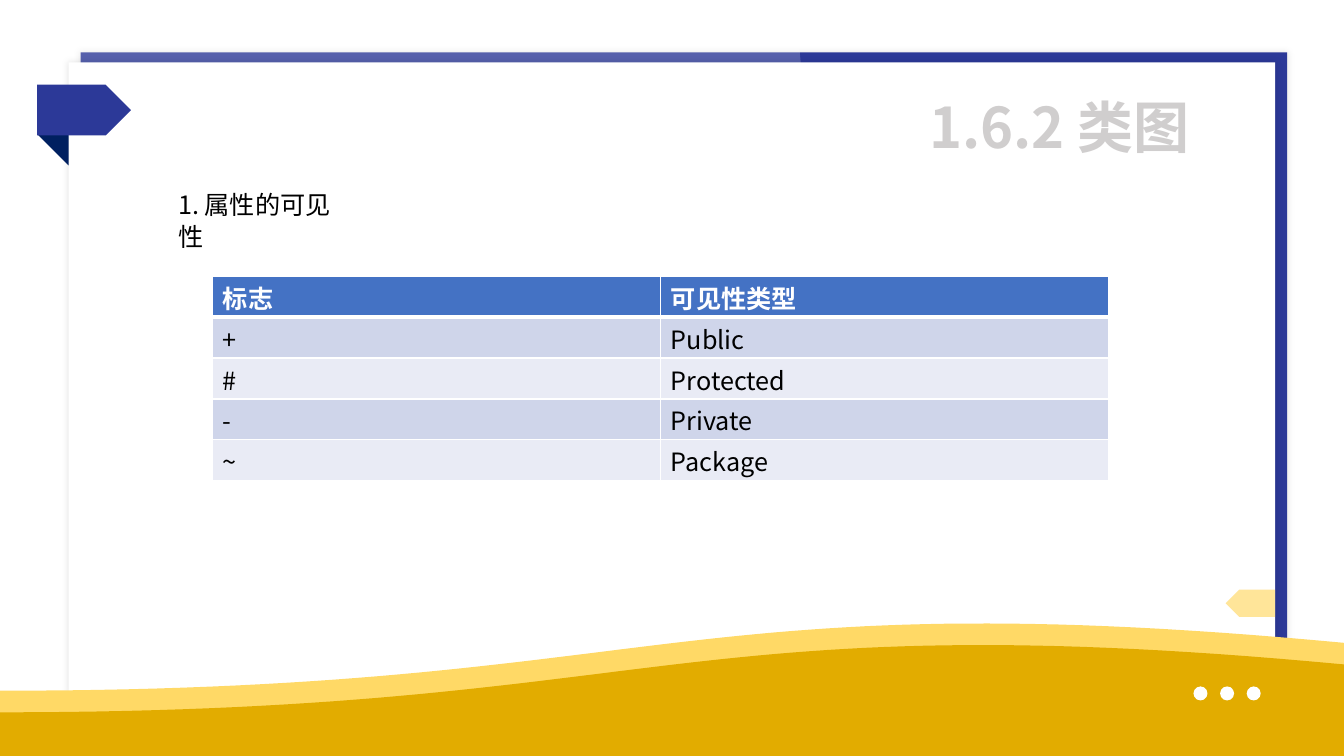
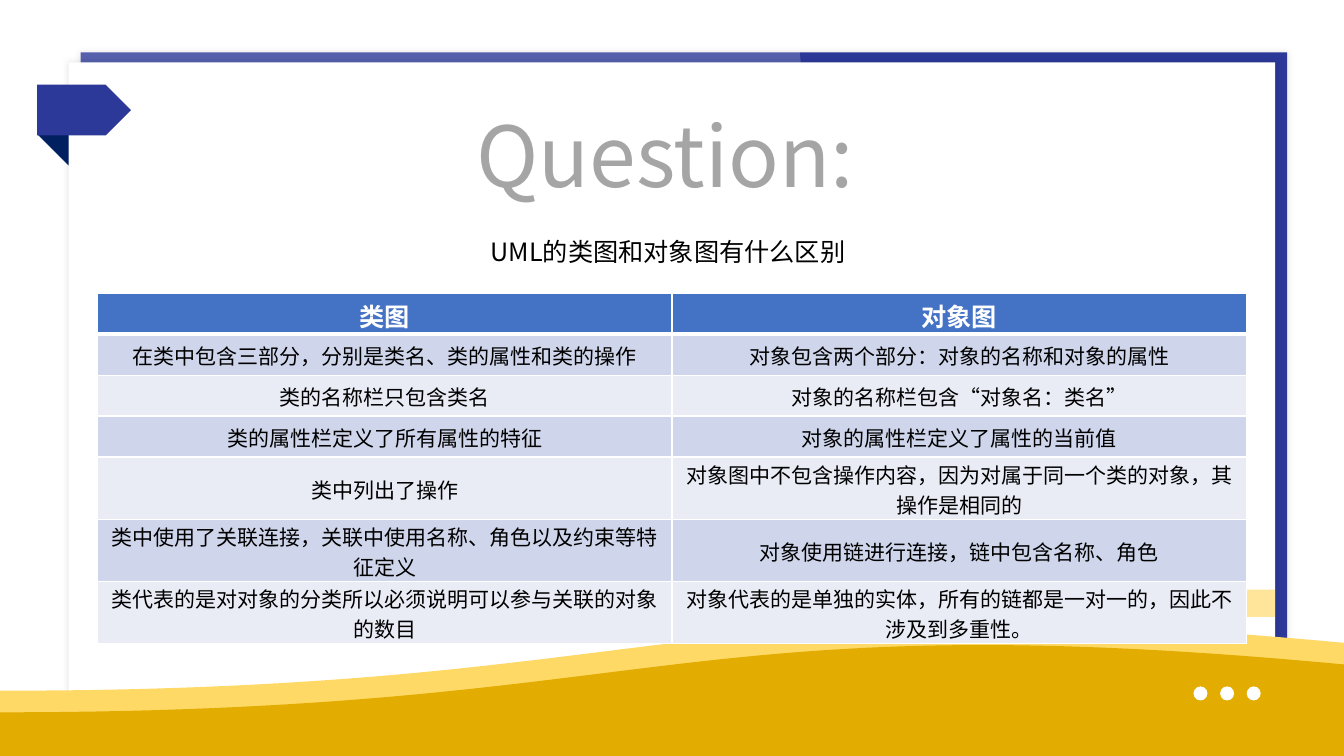
from lxml.etree import SubElement
from pptx import Presentation
from pptx.dml.color import RGBColor
from pptx.enum.shapes import MSO_SHAPE
from pptx.enum.text import MSO_ANCHOR, PP_ALIGN
from pptx.oxml import parse_xml
from pptx.oxml.ns import nsdecls, qn
from pptx.util import Pt

W, H = 960, 540
FONT = "Noto Sans CJK SC"
COLORS = {
    "navy": "2C3998", "fold": "002060", "white": "FFFFFF", "black": "000000",
    "amber": "FFC000", "wave_light": "FFD966", "wave_dark": "E2AC00",
    "title": "D0CECE", "question": "A5A5A5",
    "header": "4472C4", "band_dark": "CFD5EA", "band_light": "E9EBF5",
}
RGB = {name: RGBColor.from_string(value) for name, value in COLORS.items()}


def add_text(tf, text, color, spacing, align=PP_ALIGN.LEFT, **font):
    p = tf.paragraphs[0]
    p.alignment = align
    p.line_spacing = Pt(spacing)
    r = p.add_run()
    r.text = text
    for key, value in {"name": FONT, "bold": False, **font}.items():
        setattr(r.font, key, value)
    r.font.color.rgb = RGB[color]
    SubElement(r._r.get_or_add_rPr(), qn("a:ea"), typeface=FONT)


def add_table(s, left, top, col_width, heights, rows, body, align, anchor):
    head = {"size": 18, "spacing": 24, "side": 7.2, "top": 4}
    tbl = s.shapes.add_table(len(rows), 2, Pt(left), Pt(top),
                             Pt(2 * col_width), Pt(sum(heights))).table
    for col in tbl.columns:
        col.width = Pt(col_width)
    for i, (height, texts) in enumerate(zip(heights, rows)):
        tbl.rows[i].height = Pt(height)
        fmt = {**head, **body} if i else head
        fill = ("band_dark" if i % 2 else "band_light") if i else "header"
        # The rule under the header row is thicker
        borders = {"lnL": 1, "lnR": 1, "lnT": 3 if i == 1 else 1, "lnB": 1 if i else 3}
        for j, text in enumerate(texts):
            cell = tbl.cell(i, j)
            for key, value in {"margin_left": Pt(fmt["side"]), "margin_right": Pt(fmt["side"]),
                               "margin_top": Pt(fmt["top"]), "margin_bottom": Pt(0),
                               "vertical_anchor": anchor}.items():
                setattr(cell, key, value)
            add_text(cell.text_frame, text, "black" if i else "white", fmt["spacing"],
                     align, size=Pt(fmt["size"]), bold=i == 0)
            tcPr = cell._tc.get_or_add_tcPr()
            for tag, width in borders.items():
                tcPr.append(parse_xml(
                    f'<a:{tag} {nsdecls("a")} w="{Pt(width)}"><a:solidFill>'
                    f'<a:srgbClr val="{COLORS["white"]}"/></a:solidFill></a:{tag}>'))
            cell.fill.solid()
            cell.fill.fore_color.rgb = RGB[fill]


prs = Presentation()
prs.slide_width, prs.slide_height = Pt(W), Pt(H)
layout = prs.slide_layouts[6]
for ph in list(layout.placeholders):
    ph.element.getparent().remove(ph.element)
s1, s2 = (prs.slides.add_slide(layout) for _ in range(2))

# Shared frame: kind, left, top, width, height, colour, rotation, opacity %, shadow
panels = [
    (MSO_SHAPE.RECTANGLE, 57.6, 37.4, 861.8, 451.4, "navy", 0, 100, True),
    (MSO_SHAPE.FLOWCHART_DOCUMENT, 85.7, -85, 539.3, 710.6, "white", 270, 20, False),
    (MSO_SHAPE.RECTANGLE, 49, 44.6, 861.8, 451.4, "white", 0, 100, True),
]
tags = [
    (MSO_SHAPE.RIGHT_TRIANGLE, 26.6, 95.8, 22.4, 22.4, "fold", 180, 100, False),
    (MSO_SHAPE.PENTAGON, 26.6, 60.5, 67, 36.2, "navy", 0, 100, False),
    (MSO_SHAPE.PENTAGON, 875.5, 421.2, 35.3, 19.4, "amber", 180, 40, False),
]
dots = [(MSO_SHAPE.OVAL, 852.5 + 19 * i, 490.3, 10, 10, "white", 0, 100, False)
        for i in range(3)]
waves = [("wave_light", 493.4), ("wave_dark", 508.8)]

for item in panels + waves + dots + tags:
    if item in waves:
        # Cubic curve, sampled, closed along the foot of the slide
        color, y = item
        rotation, opacity, shadow = 0, 100, False
        curve = [(0, y), (W / 2, y), (W / 2, y - 79.2), (W, y - 34.2)]
        points = []
        for t in (n / 60 for n in range(61)):
            weights = ((1 - t) ** 3, 3 * t * (1 - t) ** 2, 3 * t * t * (1 - t), t ** 3)
            points.append([Pt(sum(w * c[k] for w, c in zip(weights, curve))) for k in (0, 1)])
        fb = s1.shapes.build_freeform(Pt(0), Pt(H))
        fb.add_line_segments(points + [(Pt(W), Pt(H))], close=True)
        sp = fb.convert_to_shape()
    else:
        kind, *box, color, rotation, opacity, shadow = item
        sp = s1.shapes.add_shape(kind, *map(Pt, box))
    sp.rotation = rotation
    sp.fill.solid()
    sp.fill.fore_color.rgb = RGB[color]
    sp.line.fill.background()
    sp.shadow.inherit = False
    if opacity < 100:
        clr = sp.element.spPr.find(".//" + qn("a:srgbClr"))
        SubElement(clr, qn("a:alpha"), val=str(opacity * 1000))
    if shadow:
        sp.element.spPr.find(qn("a:effectLst")).append(parse_xml(
            f'<a:outerShdw {nsdecls("a")} blurRad="{Pt(5)}" dist="0" dir="0">'
            f'<a:srgbClr val="{COLORS["black"]}"><a:alpha val="10000"/></a:srgbClr>'
            '</a:outerShdw>'))

# The frame belongs to the layout
for sp in list(s1.shapes):
    layout.shapes.element.append(sp.element)

# Headings: slide, text, box, size, colour, bold, wrap
headings = [
    (s1, "1. 属性的可见性", (120.2, 131, 138, 52), 18, "black", False, True),
    (s1, "1.6.2 类图", (656.6, 60.5, 242.6, 57), 40, "title", True, True),
    (s2, "Question:", (333.4, 67.7, 293, 82), 60, "question", False, False),
    (s2, "UML的类图和对象图有什么区别", (343.4, 164.2, 273.6, 30), 18, "black", False, False),
]
for s, text, box, size, color, bold, wrap in headings:
    tf = s.shapes.add_textbox(*map(Pt, box)).text_frame
    tf.word_wrap = wrap
    add_text(tf, text, color, size * 1.25, size=Pt(size), bold=bold)

# Visibility table
add_table(s1, 152, 197.3, 320, [29.25] * 5, [
    ("标志", "可见性类型"),
    ("+", "Public"),
    ("#", "Protected"),
    ("-", "Private"),
    ("~", "Package"),
], {}, PP_ALIGN.LEFT, MSO_ANCHOR.TOP)

# Class diagram against object diagram
add_table(s2, 69.4, 209.5, 410.6, [29.25] * 4 + [44.4] * 3, [
    ("类图", "对象图"),
    ("在类中包含三部分，分别是类名、类的属性和类的操作", "对象包含两个部分：对象的名称和对象的属性"),
    ("类的名称栏只包含类名", "对象的名称栏包含“对象名：类名”"),
    ("类的属性栏定义了所有属性的特征", "对象的属性栏定义了属性的当前值"),
    ("类中列出了操作", "对象图中不包含操作内容，因为对属于同一个类的对象，其操作是相同的"),
    ("类中使用了关联连接，关联中使用名称、角色以及约束等特征定义", "对象使用链进行连接，链中包含名称、角色"),
    ("类代表的是对对象的分类所以必须说明可以参与关联的对象的数目",
     "对象代表的是单独的实体，所有的链都是一对一的，因此不涉及到多重性。"),
], {"size": 15, "spacing": 21.4, "side": 4.3, "top": 1.5}, PP_ALIGN.CENTER, MSO_ANCHOR.MIDDLE)

prs.save("out.pptx")
